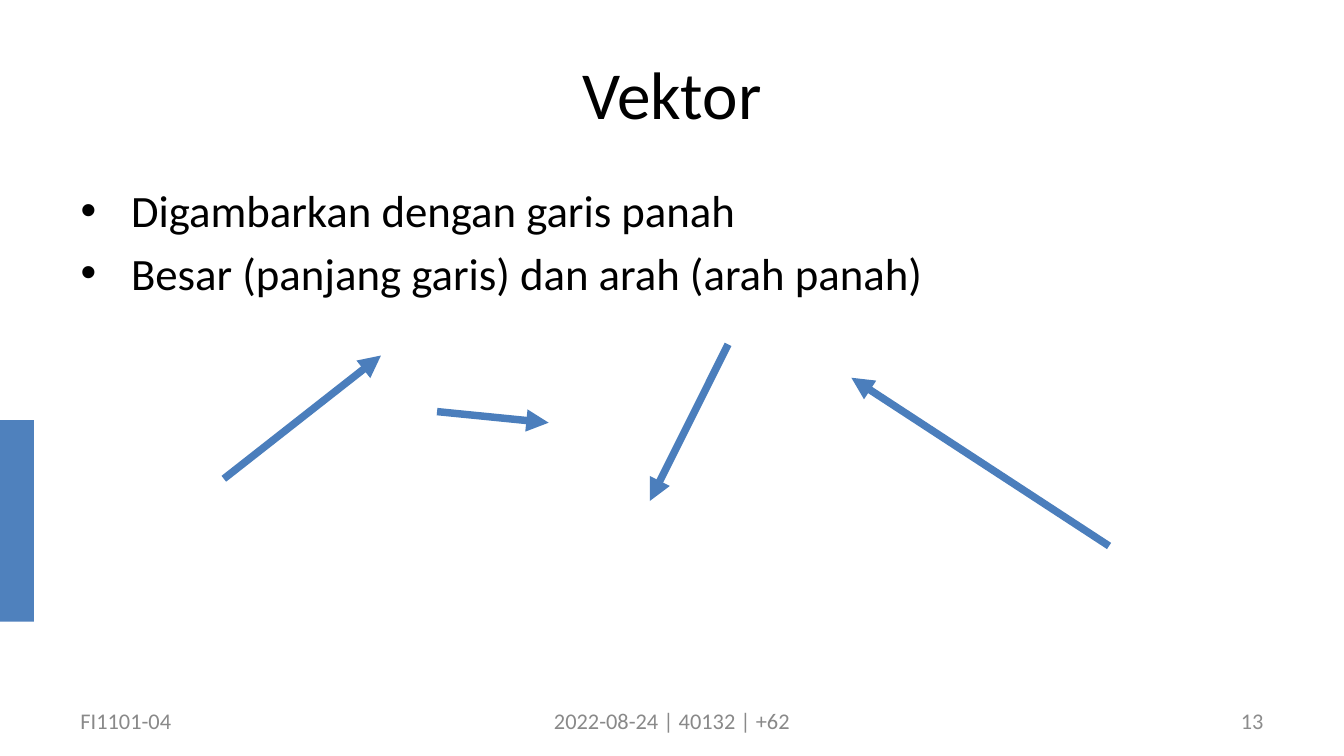
"""Builds a slide about drawing vectors as arrows."""
import lxml.etree
import pptx
import pptx.dml.color
import pptx.enum.shapes
import pptx.enum.text
import pptx.oxml.ns
import pptx.util

Cm = pptx.util.Cm
Align = pptx.enum.text.PP_ALIGN
Anchor = pptx.enum.text.MSO_ANCHOR


def color(value):
    return pptx.dml.color.RGBColor.from_string(value)


class SlideBuilder:
    font_name = "Calibri"
    text_color = "000000"
    footer_color = "898989"
    bar_color = "4F81BD"
    arrow_color = "4B7EBC"

    def __init__(self, deck):
        self.page = deck.slides.add_slide(deck.slide_layouts[1])

    def style(self, para, size, value):
        para.font.name = self.font_name
        para.font.size = pptx.util.Pt(size)
        para.font.color.rgb = color(value)

    def fill_placeholder(self, box, place, lines, size):
        box.left, box.top, box.width, box.height = map(Cm, place)
        box.text_frame.text = "\n".join(lines)
        for para in box.text_frame.paragraphs:
            self.style(para, size, self.text_color)

    def title(self, text, place):
        self.fill_placeholder(self.page.shapes.title, place, [text], 36)
        frame = self.page.shapes.title.text_frame
        frame.vertical_anchor = Anchor.MIDDLE
        frame.paragraphs[0].alignment = Align.CENTER

    def bullets(self, lines, place):
        self.fill_placeholder(self.page.placeholders[1], place, lines, 24)

    def bar(self, place):
        shape = self.page.shapes.add_shape(
            pptx.enum.shapes.MSO_SHAPE.RECTANGLE, *map(Cm, place))
        shape.shadow.inherit = False
        shape.fill.solid()
        shape.fill.fore_color.rgb = color(self.bar_color)
        shape.line.fill.background()

    def footer(self, text, left, width, alignment, value=footer_color):
        box = self.page.shapes.add_textbox(Cm(left), Cm(13.24), Cm(width), Cm(0.76))
        frame = box.text_frame
        frame.word_wrap = True
        frame.vertical_anchor = Anchor.MIDDLE
        para = frame.paragraphs[0]
        para.text = text
        para.alignment = alignment
        self.style(para, 12, value)

    def arrow(self, start, end):
        line = self.page.shapes.add_connector(
            pptx.enum.shapes.MSO_CONNECTOR.STRAIGHT, *map(Cm, start + end))
        line.line.color.rgb = color(self.arrow_color)
        line.line.width = pptx.util.Pt(4)
        qn = pptx.oxml.ns.qn
        properties = line._element.spPr
        lxml.etree.SubElement(properties.find(qn("a:ln")), qn("a:tailEnd"), type="triangle")
        lxml.etree.SubElement(properties, qn("a:effectLst"))


def main():
    deck = pptx.Presentation()
    deck.slide_width, deck.slide_height = Cm(25.4), Cm(14.29)
    slide = SlideBuilder(deck)
    slide.bar((0, 7.94, 0.64, 3.81))
    slide.title("Vektor", (1.27, 0.57, 22.86, 2.38))
    slide.bullets(
        ["Digambarkan dengan garis panah", "Besar (panjang garis) dan arah (arah panah)"],
        (1.27, 3.33, 22.86, 9.43))
    slide.footer("FI1101-04", 1.27, 6.56, Align.LEFT)
    slide.footer("2022-08-24 | 40132 | +62", 8.68, 8.04, Align.CENTER)
    slide.footer("13", 18.2, 5.93, Align.RIGHT, "8C8C8C")
    vectors = [
        ((4.23, 9.05), (7.2, 6.72)),
        ((8.26, 7.78), (10.37, 7.99)),
        ((13.76, 6.51), (12.28, 9.47)),
        ((20.96, 10.32), (16.09, 7.14)),
    ]
    for start, end in vectors:
        slide.arrow(start, end)
    deck.save("out.pptx")


if __name__ == "__main__":
    main()
